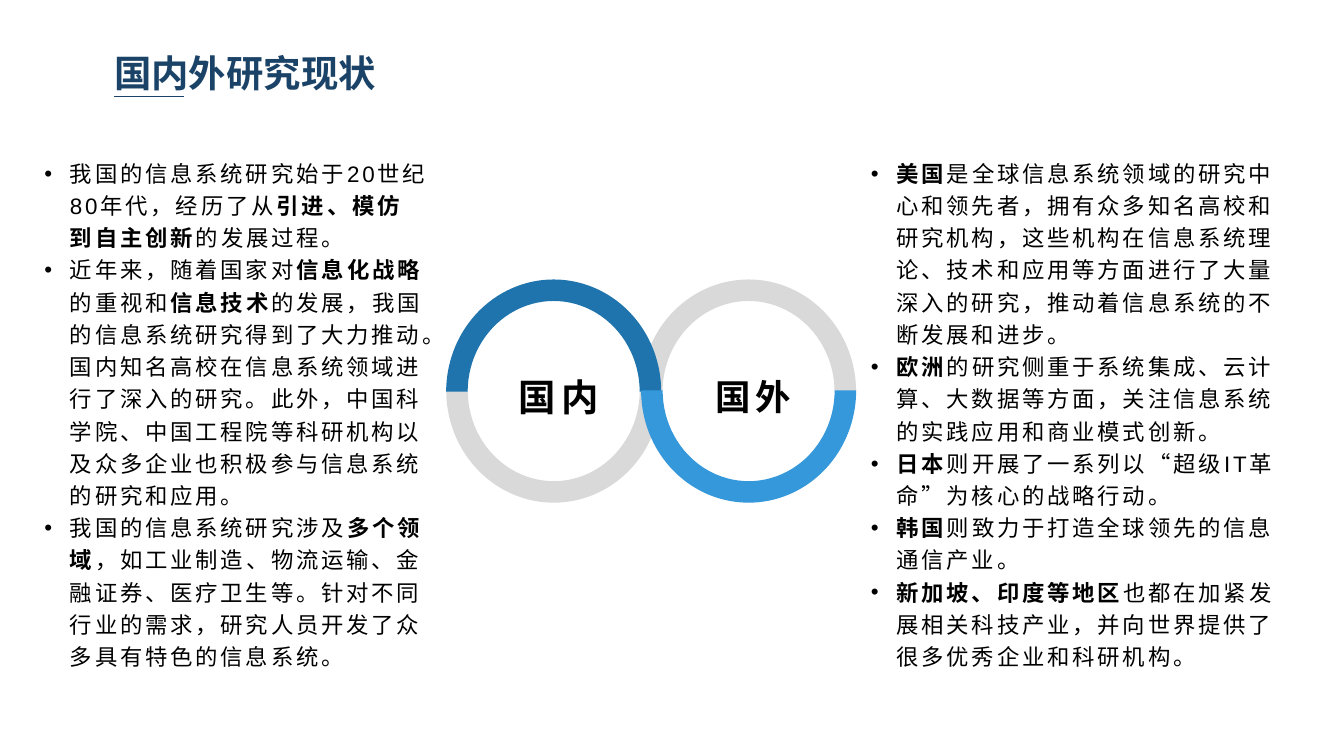
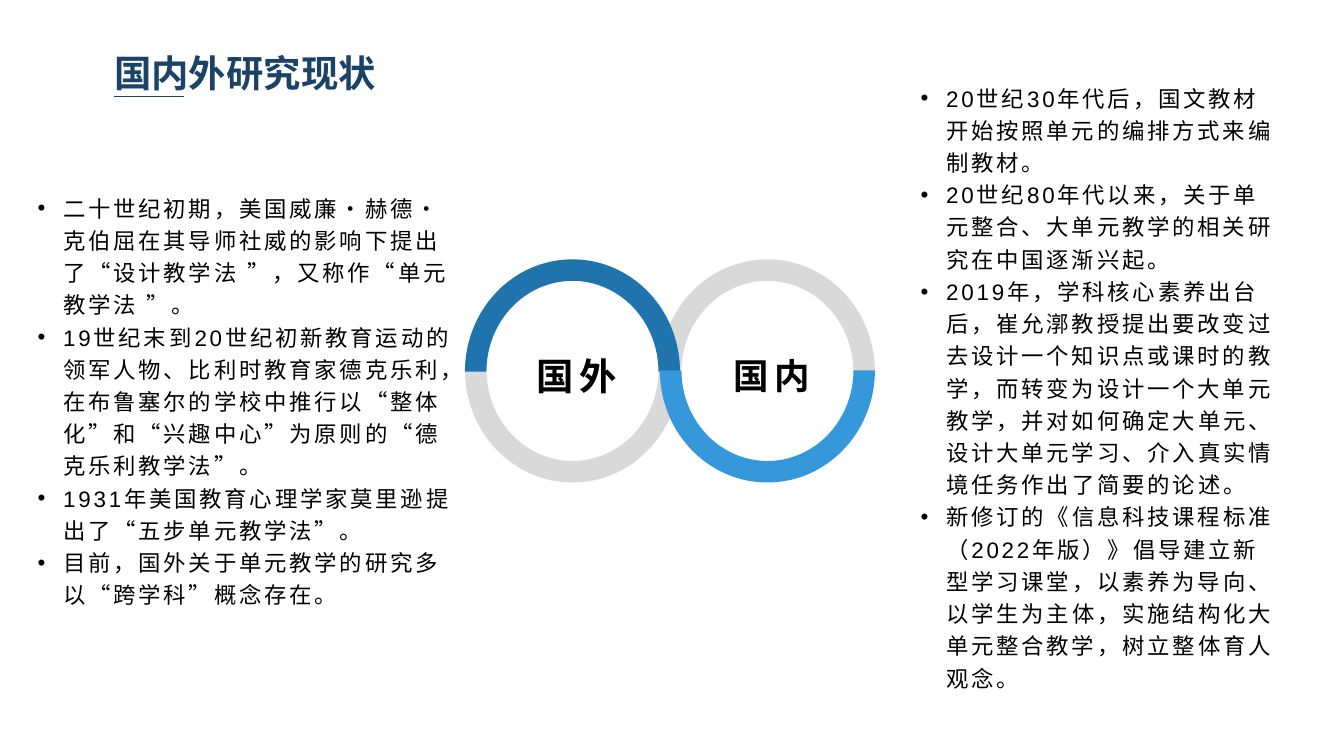
from lxml.etree import SubElement
from pptx import Presentation
from pptx.dml.color import RGBColor
from pptx.enum.shapes import MSO_CONNECTOR as Connector, MSO_SHAPE as Preset
from pptx.enum.text import MSO_ANCHOR as Anchor, MSO_AUTO_SIZE as AutoSize, PP_ALIGN as Align
from pptx.oxml.ns import qn
from pptx.util import Inches, Pt

COLORS = {"navy": "1B4367", "blue": "1F74AD", "sky": "3498DB",
          "grey": "D9D9D9", "black": "000000"}
LATIN, CHINESE = "Arial", "Noto Sans CJK SC"

# The slide is a grid of square cells
COLUMNS, ROWS, CELL = 100, 56.25, Inches(0.1)

FRAME = {"margin_left": Inches(0.07), "margin_right": Inches(0.07),
         "margin_top": Inches(0.04), "margin_bottom": Inches(0.04),
         "word_wrap": True, "auto_size": AutoSize.NONE, "vertical_anchor": Anchor.TOP}
TITLE_FONT = {"size": Pt(20), "name": CHINESE, "bold": True}
BODY_FONT = {"size": Pt(12), "name": LATIN, "bold": False}
LABEL_FONT = {"size": Pt(20), "name": LATIN, "bold": True}

TITLE = "国内外研究现状"
RING_WIDTH, RING_HEIGHT, RING_PITCH = 16, 16.7, 14.5
# Start angle, end angle and thickness of a half ring
RING_ADJUSTMENTS = (108, 0, 0.1)
# Ring index, rotation, colour, from back to front
HALF_RINGS = [(0, 180, "grey"), (1, 0, "grey"), (0, 0, "blue"), (1, 180, "sky")]

# Bars mark the start and end of bold text
SLIDES = [
    {
        "rings": (33.2, 20.7),
        "labels": ["国内", "国外"],
        "lists": [
            ((2.6, 11.1, 29.8, 11.2), [
                "我国的信息系统研究始于20世纪80年代，经历了从|引进、模仿到自主创新|的发展过程。",
                "近年来，随着国家对|信息化战略|的重视和|信息技术|的发展，我国的信息系统研究"
                "得到了大力推动。国内知名高校在信息系统领域进行了深入的研究。此外，中国科学院、"
                "中国工程院等科研机构以及众多企业也积极参与信息系统的研究和应用。",
                "我国的信息系统研究涉及|多个领域|，如工业制造、物流运输、金融证券、医疗卫生等。"
                "针对不同行业的需求，研究人员开发了众多具有特色的信息系统。",
            ]),
            ((64.1, 11.1, 33.2, 24.7), [
                "|美国|是全球信息系统领域的研究中心和领先者，拥有众多知名高校和研究机构，"
                "这些机构在信息系统理论、技术和应用等方面进行了大量深入的研究，"
                "推动着信息系统的不断发展和进步。",
                "|欧洲|的研究侧重于系统集成、云计算、大数据等方面，关注信息系统的实践应用和商业模式创新。",
                "|日本|则开展了一系列以“超级IT革命”为核心的战略行动。",
                "|韩国|则致力于打造全球领先的信息通信产业。",
                "|新加坡、印度等地区|也都在加紧发展相关科技产业，并向世界提供了很多优秀企业和科研机构。",
            ]),
        ],
    },
    {
        "rings": (34.6, 19.2),
        "labels": ["国外", "国内"],
        "lists": [
            ((2.1, 13.7, 33.2, 24.7), [
                "二十世纪初期，美国威廉•赫德•克伯屈在其导师社威的影响下提出了“设计教学法 ”，"
                "又称作“单元教学法 ”。",
                "19世纪末到20世纪初新教育运动的领军人物、比利时教育家德克乐利，"
                "在布鲁塞尔的学校中推行以“整体化”和“兴趣中心”为原则的“德克乐利教学法”。",
                "1931年美国教育心理学家莫里逊提出了“五步单元教学法”。",
                "目前，国外关于单元教学的研究多以“跨学科”概念存在。",
            ]),
            ((67.8, 5.5, 28, 11.2), [
                "20世纪30年代后，国文教材开始按照单元的编排方式来编制教材。",
                "20世纪80年代以来，关于单元整合、大单元教学的相关研究在中国逐渐兴起。",
                "2019年，学科核心素养出台后，崔允漷教授提出要改变过去设计一个知识点或课时的教学，"
                "而转变为设计一个大单元教学，并对如何确定大单元、设计大单元学习、"
                "介入真实情境任务作出了简要的论述。",
                "新修订的《信息科技课程标准（2022年版）》倡导建立新型学习课堂，以素养为导向、"
                "以学生为主体，实施结构化大单元整合教学，树立整体育人观念。",
            ]),
        ],
    },
]


def apply(target, values):
    for name, value in values.items():
        setattr(target, name, value)


def cells(*lengths):
    return [round(length * CELL) for length in lengths]


class Deck:
    def __init__(self):
        self.presentation = Presentation()
        self.presentation.slide_width, self.presentation.slide_height = cells(COLUMNS, ROWS)
        self.slide = None

    def color(self, name):
        return RGBColor.from_string(COLORS[name])

    def add_slide(self, title):
        layout = self.presentation.slide_layouts.get_by_name("Title Only")
        self.slide = self.presentation.slides.add_slide(layout)
        shape = self.slide.shapes.title
        apply(shape, dict(zip(("left", "top", "width", "height"), cells(7.8, 3.35, 24.7, 4.1))))
        apply(shape.text_frame, {**FRAME, "auto_size": AutoSize.SHAPE_TO_FIT_TEXT})
        paragraph = shape.text_frame.paragraphs[0]
        paragraph.alignment = Align.LEFT
        self.run(paragraph, title, TITLE_FONT, "navy")
        self.line(8.5, 7.2, 13.7, 7.2)

    def run(self, paragraph, text, font, color="black", spacing=0):
        run = paragraph.add_run()
        run.text = text
        apply(run.font, font)
        run.font.color.rgb = self.color(color)
        properties = run._r.get_or_add_rPr()
        properties.set("lang", "zh-CN")
        properties.set("spc", str(round(spacing * 100)))
        SubElement(properties, qn("a:ea"), typeface=CHINESE)

    def line(self, *ends):
        line = self.slide.shapes.add_connector(Connector.STRAIGHT, *cells(*ends))
        line.line.color.rgb = self.color("navy")
        line.line.width = Pt(0.75)
        SubElement(line._element.spPr, qn("a:effectLst"))

    def half_ring(self, left, top, rotation, color):
        shape = self.slide.shapes.add_shape(
            Preset.BLOCK_ARC, *cells(left, top, RING_WIDTH, RING_HEIGHT))
        for index, value in enumerate(RING_ADJUSTMENTS):
            shape.adjustments[index] = value
        shape.rotation = rotation
        shape.shadow.inherit = False
        shape.fill.solid()
        shape.fill.fore_color.rgb = self.color(color)
        shape.line.fill.background()

    def text_frame(self, box, **values):
        frame = self.slide.shapes.add_textbox(*cells(*box)).text_frame
        apply(frame, {**FRAME, **values})
        return frame

    def label(self, left, top, text, size):
        frame = self.text_frame((left, top, 13.6, 3.3), vertical_anchor=Anchor.MIDDLE)
        paragraph = frame.paragraphs[0]
        apply(paragraph, {"alignment": Align.CENTER, "line_spacing": 1.2})
        self.run(paragraph, text, {**LABEL_FONT, "size": Pt(size)}, spacing=3)

    def bullets(self, box, items):
        frame = self.text_frame(box)
        for index, item in enumerate(items):
            paragraph = frame.add_paragraph() if index else frame.paragraphs[0]
            paragraph.line_spacing = 1.2
            properties = paragraph._p.get_or_add_pPr()
            properties.set("marL", str(Inches(0.19)))
            properties.set("indent", str(-Inches(0.19)))
            SubElement(properties, qn("a:buFont"), typeface=LATIN)
            SubElement(properties, qn("a:buChar"), char="•")
            for part, text in enumerate(item.split("|")):
                if text:
                    self.run(paragraph, text, {**BODY_FONT, "bold": part % 2 == 1}, spacing=1.5)

    def rings(self, left, top, labels):
        for index, rotation, color in HALF_RINGS:
            offset = 0 if rotation else 0.1
            self.half_ring(left + index * RING_PITCH, top + offset, rotation, color)
        for index, (text, size) in enumerate(zip(labels, (20, 19))):
            self.label(left + 1.55 + index * RING_PITCH, top + 6.8, text, size)


def main():
    deck = Deck()
    for content in SLIDES:
        deck.add_slide(TITLE)
        deck.rings(*content["rings"], content["labels"])
        for box, items in content["lists"]:
            deck.bullets(box, items)
    deck.presentation.save("out.pptx")


if __name__ == "__main__":
    main()
